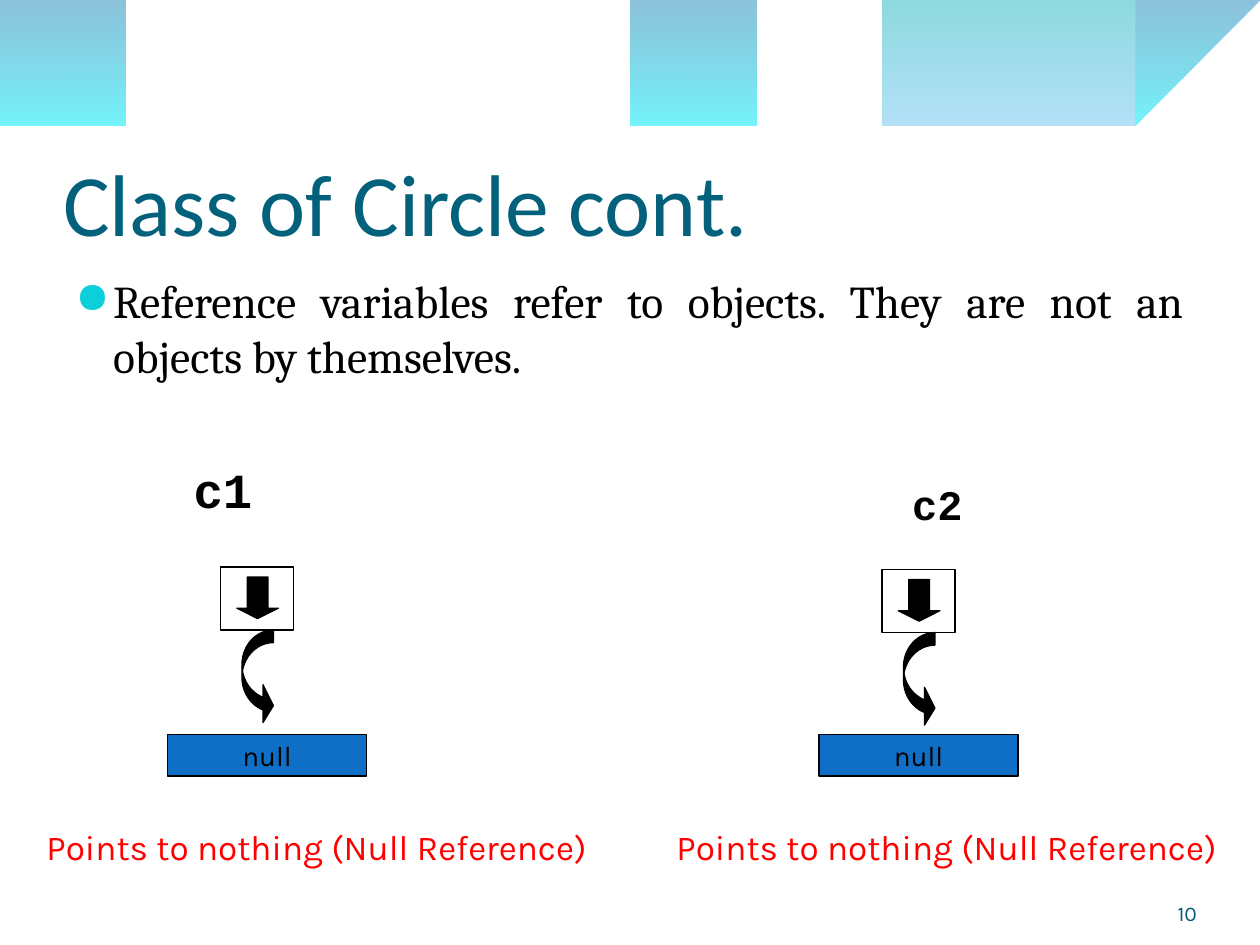
from lxml import etree
from pptx import Presentation
from pptx.dml.color import RGBColor
from pptx.enum.shapes import MSO_SHAPE
from pptx.enum.text import MSO_ANCHOR, MSO_AUTO_SIZE, PP_ALIGN
from pptx.oxml.ns import qn
from pptx.util import Inches, Pt

RECT = MSO_SHAPE.RECTANGLE
DOWN_ARROW = MSO_SHAPE.DOWN_ARROW
CURVED_ARROW = MSO_SHAPE.CURVED_RIGHT_ARROW
LEFT, CENTER, RIGHT, JUSTIFY = PP_ALIGN.LEFT, PP_ALIGN.CENTER, PP_ALIGN.RIGHT, PP_ALIGN.JUSTIFY
TOP, MIDDLE, BOTTOM = MSO_ANCHOR.TOP, MSO_ANCHOR.MIDDLE, MSO_ANCHOR.BOTTOM
NO_AUTOFIT = MSO_AUTO_SIZE.NONE

COLORS = {
    "title": "04617B", "number": "045C75", "text": "000000", "bullet": "0BD0D9",
    "white": "FFFFFF", "null": "0F6FC6", "note": "FF0000",
    "wave_top": "0079AF", "wave_bottom": "00EBF8",
    "crest_top": "00ADB6", "crest_bottom": "009BE5",
}
DEFAULT_INSETS = (0.1, 0.05, 0.1, 0.05)
CURVE_STEPS = 24

# Outlines: two numbers are a line end, six are a cubic curve.
WAVE = [(0, -0.01), (4.4, -0.01), (4.76, 0.17, 6.64, 0.63, 7.58, 0.63),
        (8.53, 0.63, 9.58, 0.26, 10, 0.09), (10.01, 0.36),
        (9.83, 0.44, 8.7, 0.76, 7.46, 0.75), (6.22, 0.75, 3.82, 0.28, 2.57, 0.34),
        (1.29, 0.35, 0.46, 0.83, -0.01, 1.13)]
CREST = [(4.79, -0.01), (5.09, 0.11, 6.82, 0.62, 7.69, 0.65),
         (8.56, 0.69, 9.61, 0.32, 10, 0.21), (10, 0)]


def rgb(name):
    return RGBColor.from_string(COLORS[name])


def flatten(outline):
    """Turn lines and cubic curves into a list of points."""
    points = [outline[0]]
    for segment in outline[1:]:
        if len(segment) == 2:
            points.append(segment)
            continue
        start = points[-1]
        for step in range(1, CURVE_STEPS + 1):
            t = step / CURVE_STEPS
            weights = ((1 - t) ** 3, 3 * t * (1 - t) ** 2, 3 * t * t * (1 - t), t ** 3)
            points.append(tuple(
                sum(w * v for w, v in zip(weights, (start[axis], *segment[axis::2])))
                for axis in (0, 1)))
    return points


class SlideBuilder:
    def __init__(self, slide):
        self.slide = slide
        self.shapes = slide.shapes

    def set_text(self, shape, text, font, size, color, align=LEFT, anchor=TOP,
                 insets=DEFAULT_INSETS, wrap=True, bold=False):
        frame = shape.text_frame
        frame.text = text
        frame.auto_size = NO_AUTOFIT
        frame.word_wrap = wrap
        frame.vertical_anchor = anchor
        (frame.margin_left, frame.margin_top,
         frame.margin_right, frame.margin_bottom) = map(Inches, insets)
        paragraph = frame.paragraphs[0]
        paragraph.alignment = align
        style = paragraph.runs[0].font
        style.name, style.size, style.bold = font, Pt(size), bold
        style.color.rgb = rgb(color)
        return paragraph

    def wave(self, outline, stops):
        points = flatten(outline)
        builder = self.shapes.build_freeform(*points[0], scale=Inches(1))
        builder.add_line_segments(points[1:], close=True)
        wave = builder.convert_to_shape()
        wave.shadow.inherit = False
        wave.line.fill.background()
        wave.fill.gradient()
        wave.fill.gradient_angle = 270
        for position, (stop, (color, _)) in enumerate(zip(wave.fill.gradient_stops, stops)):
            stop.position = position
            stop.color.rgb = rgb(color)
        for tag, (_, opacity) in zip(wave.element.iter(qn("a:srgbClr")), stops):
            etree.SubElement(tag, qn("a:alpha"), val=str(opacity * 1000))

    def title(self, text, *box):
        title = self.shapes.title
        title.left, title.top, title.width, title.height = map(Inches, box)
        self.set_text(title, text, "Calibri", 50, "title", anchor=BOTTOM, insets=(0, 0.05, 0, 0))

    def text(self, text, box, *style, **options):
        return self.set_text(self.shapes.add_textbox(*map(Inches, box)), text, *style, **options)

    def bullet(self, text, box):
        paragraph = self.text(text, box, "Cambria", 26, "text", align=JUSTIFY)
        paragraph.space_before = Pt(6.5)
        properties = paragraph._p.get_or_add_pPr()
        properties.set("marL", str(Inches(0.3)))
        properties.set("indent", str(-Inches(0.3)))
        color = etree.SubElement(properties, qn("a:buClr"))
        etree.SubElement(color, qn("a:srgbClr"), val=COLORS["bullet"])
        etree.SubElement(properties, qn("a:buSzPct"), val="95000")
        etree.SubElement(properties, qn("a:buChar"), char="●")

    def shape(self, kind, box, fill, adjustments=()):
        shape = self.shapes.add_shape(kind, *map(Inches, box))
        shape.shadow.inherit = False
        shape.fill.solid()
        shape.fill.fore_color.rgb = rgb(fill)
        shape.line.color.rgb = rgb("text")
        shape.line.width = Pt(0.75)
        for index, value in enumerate(adjustments):
            shape.adjustments[index] = value
        return shape

    def null_reference(self, name, name_box, name_size, left, top, null_left, note_left):
        """Draw a variable whose reference box points to null."""
        self.text(name, name_box, "Courier New", name_size, "text",
                  align=CENTER, wrap=False, bold=True)
        self.shape(RECT, (left, top, 0.58, 0.5), "white")
        self.shape(DOWN_ARROW, (left + 0.13, top + 0.08, 0.33, 0.33), "text", (0.5, 0.25))
        self.shape(CURVED_ARROW, (left + 0.17, top + 0.5, 0.25, 0.75), "text", (0.4, 1.2, 0.33))
        null = self.shape(RECT, (null_left, 5.83, 1.58, 0.33), "null")
        self.set_text(null, "null", "Karla", 16, "text", align=CENTER, anchor=MIDDLE, wrap=False)
        self.text("Points to nothing (Null Reference)", (note_left, 6.5, 4.61, 0.44),
                  "Karla", 20, "note", align=CENTER, wrap=False)


def main():
    deck = Presentation()
    deck.slide_width, deck.slide_height = Inches(10), Inches(7.5)
    builder = SlideBuilder(deck.slides.add_slide(deck.slide_layouts[5]))

    builder.wave(WAVE, [("wave_top", 45), ("wave_bottom", 55)])
    builder.wave(CREST, [("crest_top", 45), ("crest_bottom", 30)])
    builder.title("Class of Circle cont.", 0.5, 0.77, 9, 1.25)
    builder.bullet("Reference variables refer to objects. They are not an objects by themselves.",
                   (0.5, 2.12, 9, 4.8))
    builder.text("10", (8.67, 6.95, 0.83, 0.4), "Karla", 12, "number",
                 align=RIGHT, anchor=BOTTOM, insets=(0, 0, 0, 0))
    builder.null_reference("c1", (1.44, 3.6, 0.66, 0.57), 28, 1.75, 4.5, 1.33, 0.21)
    builder.null_reference("c2", (7.14, 3.75, 0.6, 0.5), 24, 7, 4.52, 6.5, 5.21)
    deck.save("out.pptx")


if __name__ == "__main__":
    main()
